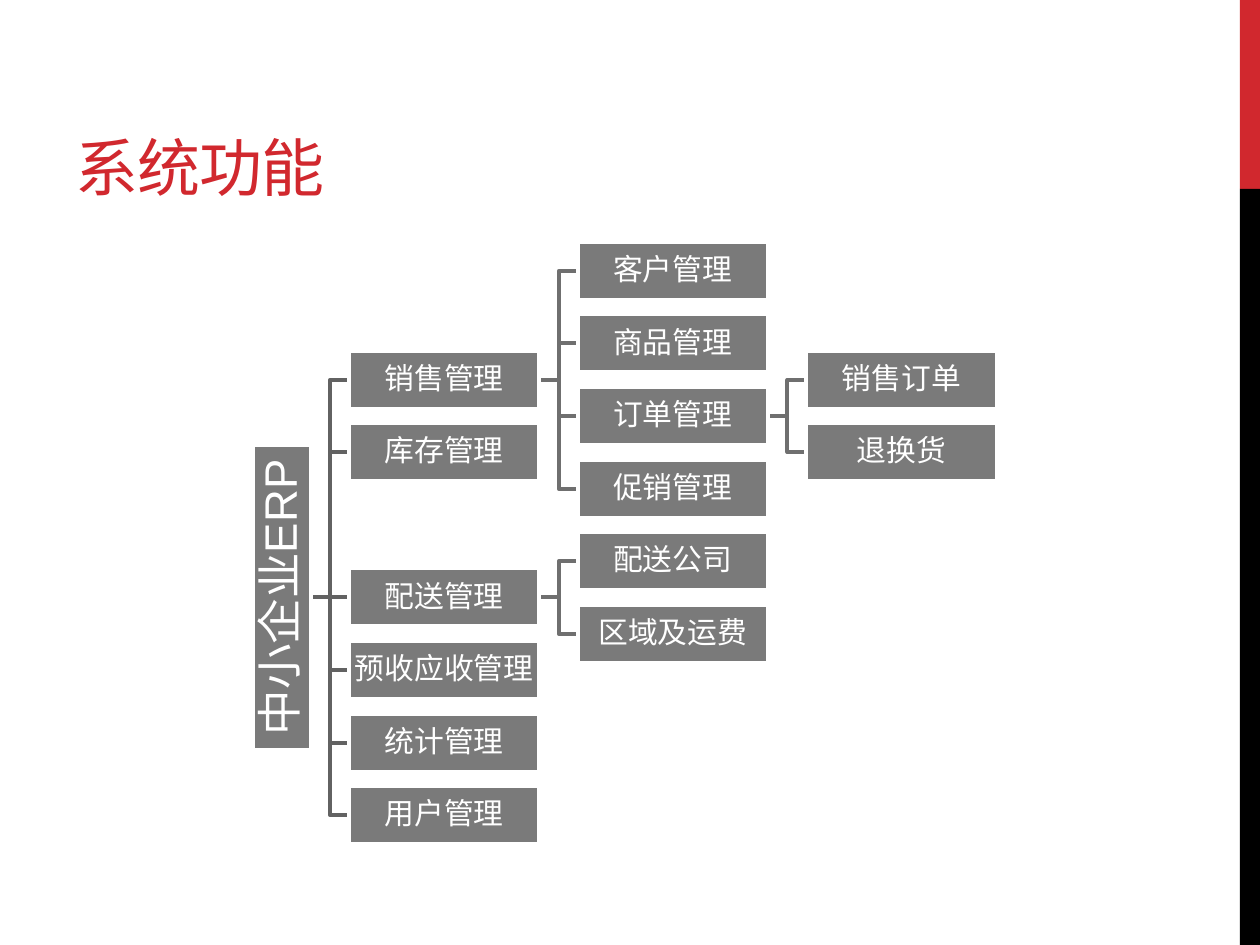
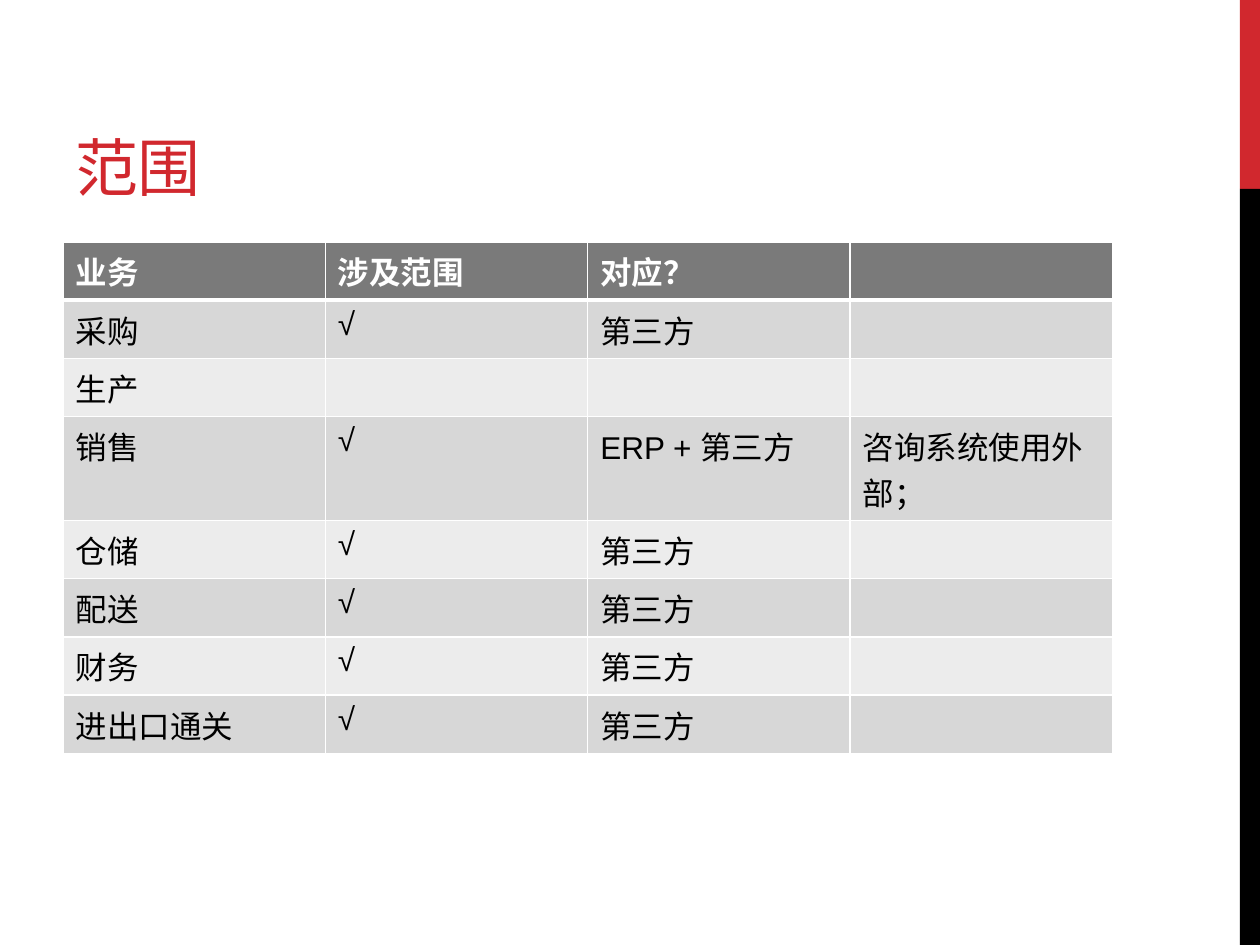
from dataclasses import dataclass

from lxml.etree import SubElement
from pptx import Presentation
from pptx.dml.color import RGBColor
from pptx.enum.shapes import MSO_CONNECTOR, MSO_SHAPE
from pptx.enum.text import MSO_ANCHOR, MSO_AUTO_SIZE, PP_ALIGN
from pptx.oxml.ns import qn
from pptx.presentation import Presentation as PresentationType
from pptx.shapes.autoshape import Shape
from pptx.slide import Slide
from pptx.table import _Cell
from pptx.text.text import _Paragraph
from pptx.util import Inches, Pt

RED = RGBColor(0xD1, 0x28, 0x2E)
BLACK = RGBColor(0x00, 0x00, 0x00)
WHITE = RGBColor(0xFF, 0xFF, 0xFF)
GRAY = RGBColor(0x7A, 0x7A, 0x7A)
ROOT_LINK = RGBColor(0x62, 0x62, 0x62)
CHILD_LINK = RGBColor(0x6F, 0x6F, 0x6F)
DARK_BAND = RGBColor(0xD7, 0xD7, 0xD7)
LIGHT_BAND = RGBColor(0xEC, 0xEC, 0xEC)

TITLE_FONT = "Montserrat"
BODY_FONT = "Arial"

BOX_WIDTH, BOX_HEIGHT = 1.51, 0.46
TREE_LEFT, TREE_TOP = 2.77, 1.92
COLUMN_PITCH = (6.40 - TREE_LEFT) / 2
ROW_PITCH = (6.24 - TREE_TOP) / 7.5
ROOT_LENGTH, ROOT_RIGHT = 2.42, 2.47
LINK_WIDTH = 0.3


@dataclass(frozen=True)
class Band:
    """One part of the vertical band at the right edge."""
    top: float
    height: float
    color: RGBColor


@dataclass(frozen=True)
class Node:
    """One function box; the row may fall halfway between grid rows."""
    text: str
    row: float
    children: tuple["Node", ...] = ()

    @property
    def middle(self) -> float:
        """Vertical centre of the box in inches."""
        return TREE_TOP + self.row * ROW_PITCH + BOX_HEIGHT / 2


BANDS = (Band(0, 1.5, RED), Band(1.5, 6, BLACK))

FUNCTION_TREE = Node("中小企业ERP", 4.5, (
    Node("销售管理", 1.5, (
        Node("客户管理", 0),
        Node("商品管理", 1),
        Node("订单管理", 2, (Node("销售订单", 1.5), Node("退换货", 2.5))),
        Node("促销管理", 3),
    )),
    Node("库存管理", 2.5),
    Node("配送管理", 4.5, (Node("配送公司", 4), Node("区域及运费", 5))),
    Node("预收应收管理", 5.5),
    Node("统计管理", 6.5),
    Node("用户管理", 7.5),
))

SCOPE_ROWS = (
    ("业务", "涉及范围", "对应？", ""),
    ("采购", "√", "第三方", ""),
    ("生产", "", "", ""),
    ("销售", "√", "ERP + 第三方", "咨询系统使用外部；"),
    ("仓储", "√", "第三方", ""),
    ("配送", "√", "第三方", ""),
    ("财务", "√", "第三方", ""),
    ("进出口通关", "√", "第三方", ""),
)


def add_run(paragraph: _Paragraph, text: str, size: float, color: RGBColor,
            font_name: str = BODY_FONT, bold: bool = False) -> None:
    """Append one formatted run."""
    run = paragraph.add_run()
    run.text = text
    run.font.name = font_name
    run.font.size = Pt(size)
    run.font.bold = bold
    run.font.color.rgb = color


def add_rectangle(slide: Slide, left: float, top: float, width: float,
                  height: float, color: RGBColor) -> Shape:
    """Add a filled rectangle without outline or shadow."""
    shape = slide.shapes.add_shape(MSO_SHAPE.RECTANGLE, Inches(left), Inches(top),
                                   Inches(width), Inches(height))
    shape.shadow.inherit = False
    shape.fill.solid()
    shape.fill.fore_color.rgb = color
    shape.line.fill.background()
    return shape


def add_titled_slide(presentation: PresentationType, text: str) -> Slide:
    """Add a slide with the shared bands and title style."""
    slide = presentation.slides.add_slide(presentation.slide_layouts[5])
    for band in BANDS:
        add_rectangle(slide, 9.84, band.top, 0.16, band.height, band.color)
    title = slide.shapes.title
    title.left, title.top = Inches(0.5), Inches(0.17)
    title.width, title.height = Inches(6.33), Inches(1.5)
    frame = title.text_frame
    frame.word_wrap = True
    frame.auto_size = MSO_AUTO_SIZE.NONE
    frame.vertical_anchor = MSO_ANCHOR.BOTTOM
    paragraph = frame.paragraphs[0]
    paragraph.alignment = PP_ALIGN.LEFT
    add_run(paragraph, text, 36, RED, TITLE_FONT)
    paragraph.runs[0].font._element.set("spc", "-60")
    return slide


def draw_link(slide: Slide, left: float, start: float, end: float,
              color: RGBColor) -> None:
    """Draw a straight or bent link from a parent to a child."""
    right, bend = left + LINK_WIDTH, left + LINK_WIDTH / 2
    if start == end:
        link = slide.shapes.add_connector(MSO_CONNECTOR.STRAIGHT, Inches(left),
                                          Inches(start), Inches(right), Inches(end))
        SubElement(link._element.spPr, qn("a:effectLst"))
    else:
        builder = slide.shapes.build_freeform(Inches(left), Inches(start))
        corners = ((bend, start), (bend, end), (right, end))
        builder.add_line_segments([(Inches(x), Inches(y)) for x, y in corners],
                                  close=False)
        link = builder.convert_to_shape()
        link.shadow.inherit = False
        link.fill.background()
    link.line.color.rgb = color
    link.line.width = Pt(2.25)


def draw_links(slide: Slide, node: Node, depth: int = 0) -> None:
    """Draw every link below a node."""
    child_left = TREE_LEFT + depth * COLUMN_PITCH
    color = CHILD_LINK if depth else ROOT_LINK
    for child in node.children:
        draw_link(slide, child_left - LINK_WIDTH, node.middle, child.middle, color)
        draw_links(slide, child, depth + 1)


def draw_boxes(slide: Slide, node: Node, depth: int = 0) -> None:
    """Draw a node and the boxes below it; the root stands upright."""
    if depth:
        width, size, margin = BOX_WIDTH, 17, Inches(0.01)
        left = TREE_LEFT + (depth - 1) * COLUMN_PITCH
    else:
        width, size, margin = ROOT_LENGTH, 26, Inches(0.02)
        left = ROOT_RIGHT - BOX_HEIGHT / 2 - ROOT_LENGTH / 2
    box = add_rectangle(slide, left, node.middle - BOX_HEIGHT / 2, width,
                        BOX_HEIGHT, GRAY)
    box.rotation = 0 if depth else 270
    box.line.color.rgb = WHITE
    box.line.width = Pt(2.25)
    frame = box.text_frame
    frame.word_wrap = True
    frame.vertical_anchor = MSO_ANCHOR.MIDDLE
    frame.margin_left = frame.margin_right = margin
    frame.margin_top = frame.margin_bottom = margin
    paragraph = frame.paragraphs[0]
    paragraph.alignment = PP_ALIGN.CENTER
    paragraph.line_spacing = 0.9
    add_run(paragraph, node.text, size, WHITE)
    for child in node.children:
        draw_boxes(slide, child, depth + 1)


def set_borders(cell: _Cell, top: float, bottom: float) -> None:
    """Give a cell white borders; widths are in points."""
    properties = cell._tc.get_or_add_tcPr()
    for tag, width in (("a:lnL", 1), ("a:lnR", 1), ("a:lnT", top), ("a:lnB", bottom)):
        line = SubElement(properties, qn(tag), w=str(Pt(width)))
        fill = SubElement(line, qn("a:solidFill"))
        SubElement(fill, qn("a:srgbClr"), val=str(WHITE))


def draw_scope_table(slide: Slide) -> None:
    """Draw the scope table with a dark header and banded rows."""
    row_count, column_count = len(SCOPE_ROWS), len(SCOPE_ROWS[0])
    table = slide.shapes.add_table(row_count, column_count, Inches(0.5), Inches(1.92),
                                   Inches(8.33), Inches(0.41 * row_count)).table
    for row_index, texts in enumerate(SCOPE_ROWS):
        is_header = row_index == 0
        band = DARK_BAND if row_index % 2 else LIGHT_BAND
        for column_index, text in enumerate(texts):
            cell = table.cell(row_index, column_index)
            set_borders(cell, top=3 if row_index == 1 else 1,
                        bottom=3 if is_header else 1)
            cell.fill.solid()
            cell.fill.fore_color.rgb = GRAY if is_header else band
            if text:
                add_run(cell.text_frame.paragraphs[0], text, 18,
                        WHITE if is_header else BLACK, bold=is_header)


def main() -> None:
    """Build and save the presentation."""
    presentation = Presentation()
    presentation.slide_width = Inches(10)
    presentation.slide_height = Inches(7.5)

    function_slide = add_titled_slide(presentation, "系统功能")
    draw_links(function_slide, FUNCTION_TREE)
    draw_boxes(function_slide, FUNCTION_TREE)

    scope_slide = add_titled_slide(presentation, "范围")
    draw_scope_table(scope_slide)

    presentation.save("out.pptx")


main()
